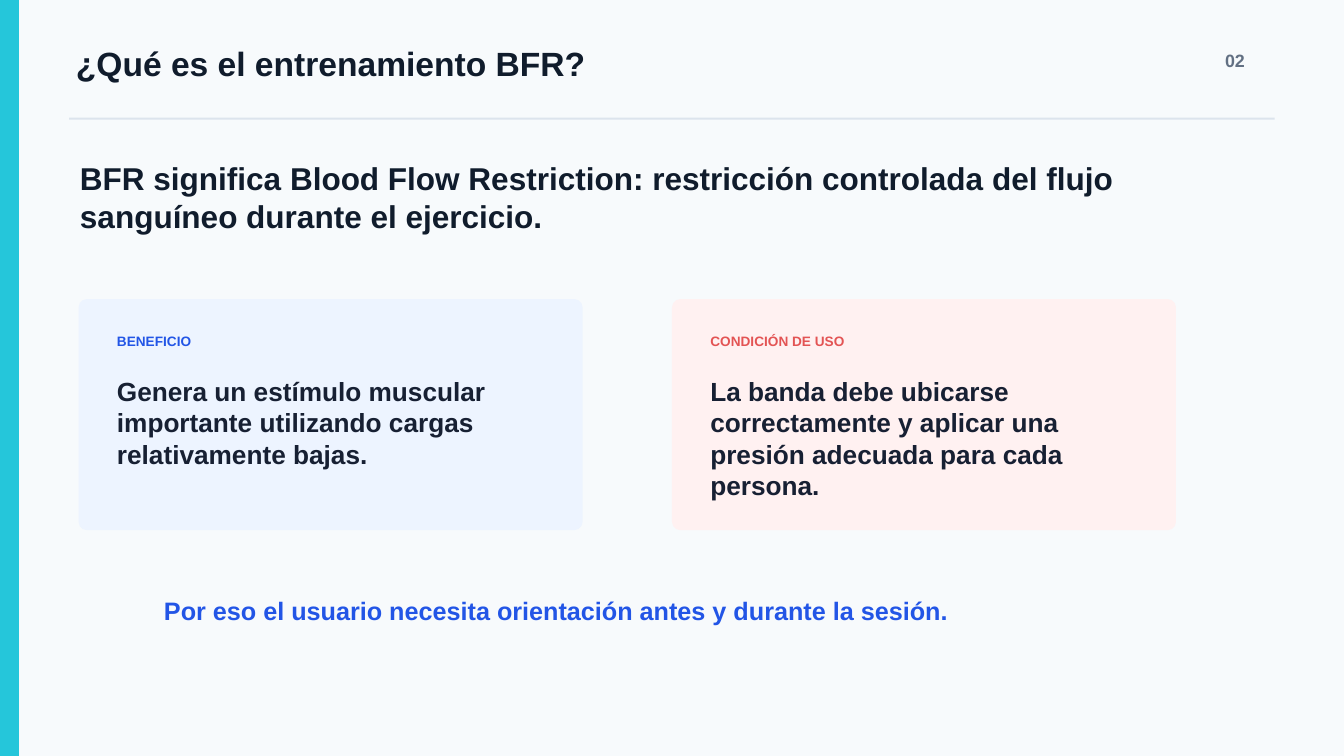
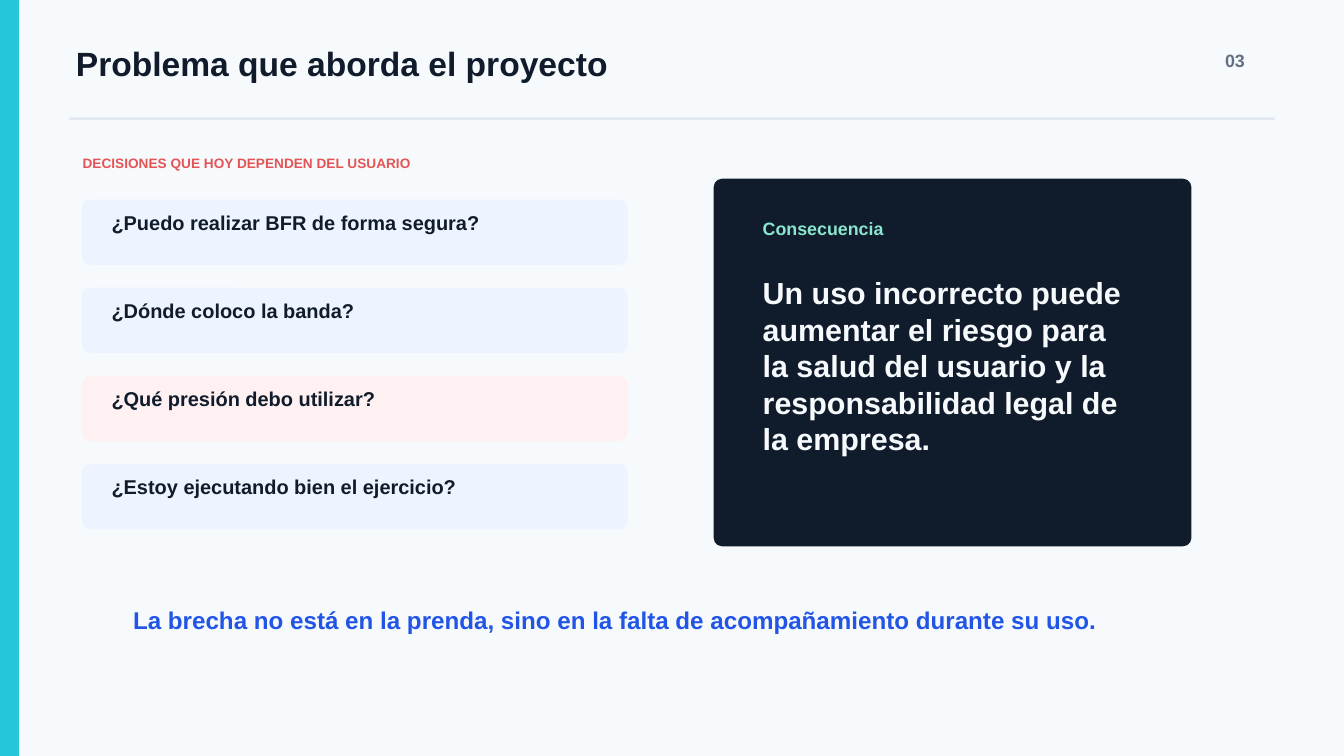
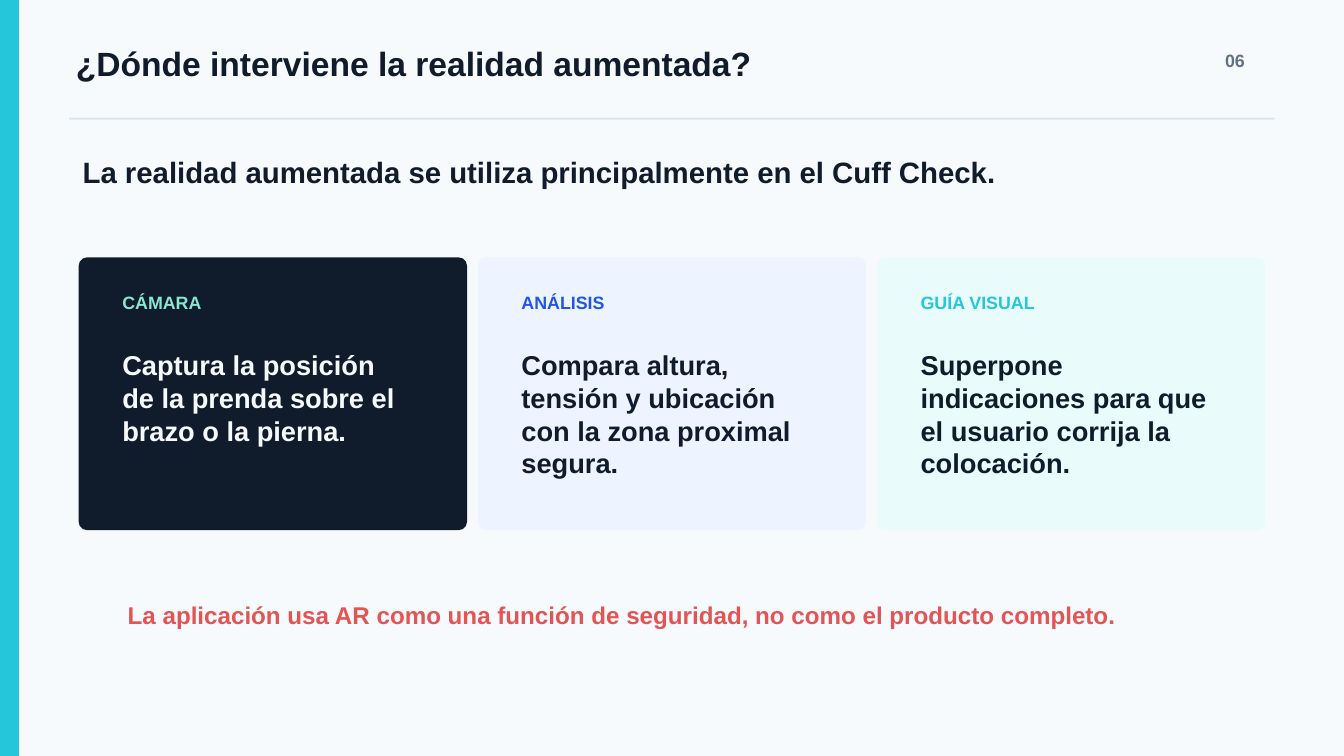
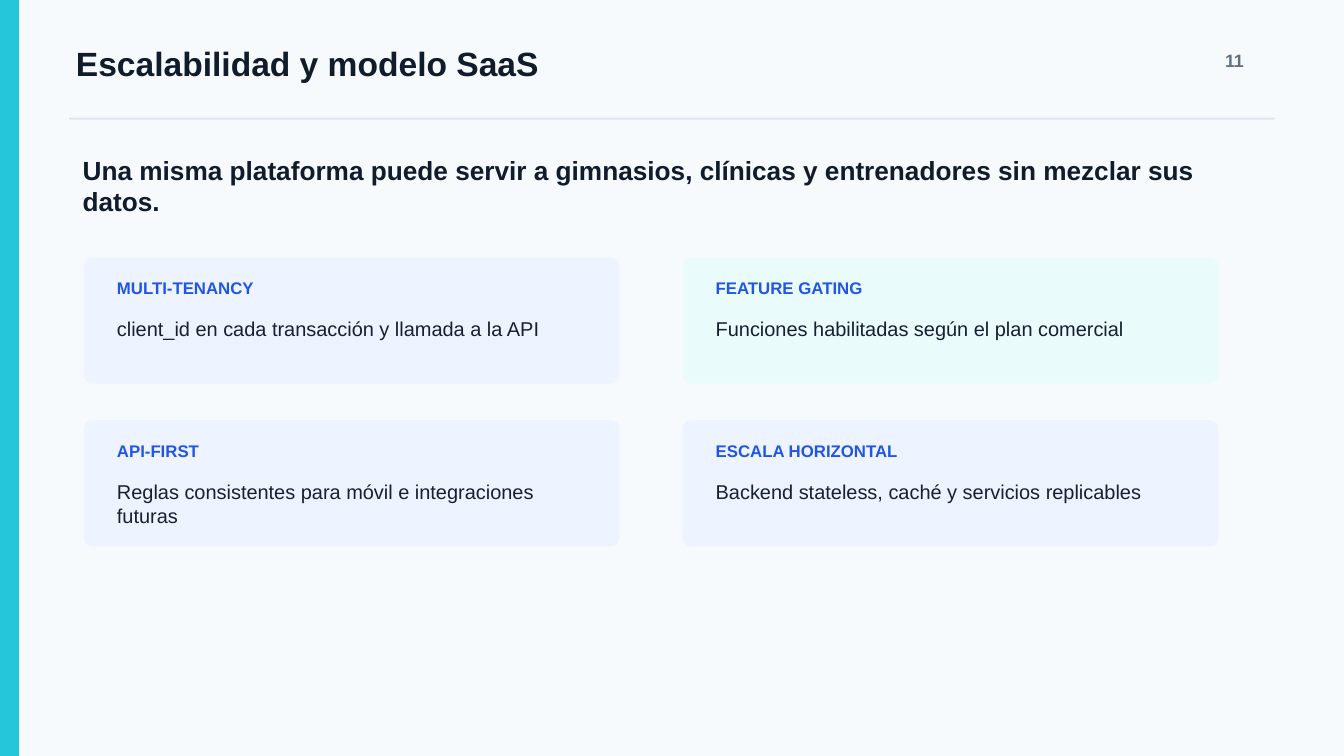
from pptx import Presentation
from pptx.dml.color import RGBColor
from pptx.enum import shapes, text as t
from pptx.util import Inches, Pt

INK = RGBColor(0x10, 0x1C, 0x2C)
BODY = RGBColor(0x17, 0x20, 0x33)
GREY = RGBColor(0x62, 0x70, 0x83)
RULE = RGBColor(0xDC, 0xE4, 0xED)
PAPER = RGBColor(0xF7, 0xFA, 0xFC)
CYAN = RGBColor(0x25, 0xC6, 0xDA)
BLUE = RGBColor(0x22, 0x55, 0xE6)
RED = RGBColor(0xE3, 0x54, 0x54)
MINT = RGBColor(0x8A, 0xE6, 0xCE)
PALE_BLUE = RGBColor(0xED, 0xF4, 0xFF)
PALE_RED = RGBColor(0xFF, 0xF1, 0xF1)
PALE_CYAN = RGBColor(0xEA, 0xFB, 0xFC)

FONT = "Arial"
RADIUS = 0.125


def add_text(s, text, x, y, w, h, size=21.4, color=INK, bold=True):
    tf = s.shapes.add_textbox(Inches(x), Inches(y), Inches(w), Inches(h)).text_frame
    tf.margin_left = tf.margin_right = tf.margin_top = tf.margin_bottom = 0
    tf.word_wrap = True
    tf.auto_size = t.MSO_AUTO_SIZE.SHAPE_TO_FIT_TEXT
    p = tf.paragraphs[0]
    p.line_spacing = Pt(round(size * 1.2, 1))
    r = p.add_run()
    r.text = text
    r.font.name = FONT
    r.font.size = Pt(size)
    r.font.bold = bold
    r.font.color.rgb = color


def add_panel(s, x, y, w, h, fill, rounded=True):
    kind = shapes.MSO_SHAPE.ROUNDED_RECTANGLE if rounded else shapes.MSO_SHAPE.RECTANGLE
    sp = s.shapes.add_shape(kind, Inches(x), Inches(y), Inches(w), Inches(h))
    if rounded:
        sp.adjustments[0] = RADIUS / min(w, h)
    sp.fill.solid()
    sp.fill.fore_color.rgb = fill
    sp.line.fill.background()
    sp.shadow.inherit = False


prs = Presentation()
prs.slide_width = Inches(20)
prs.slide_height = Inches(11.25)

# Shared frame: background, side band, title, page number, rule
slides = []
for number, title in [
    ("02", "¿Qué es el entrenamiento BFR?"),
    ("03", "Problema que aborda el proyecto"),
    ("06", "¿Dónde interviene la realidad aumentada?"),
    ("11", "Escalabilidad y modelo SaaS"),
]:
    s = prs.slides.add_slide(prs.slide_layouts[6])
    s.background.fill.solid()
    s.background.fill.fore_color.rgb = PAPER
    add_panel(s, 0, 0, 0.28, 11.25, CYAN, rounded=False)
    add_text(s, title, 1.13, 0.64, 16.68, 0.84, size=36)
    add_text(s, number, 18.23, 0.74, 0.74, 0.47, size=19.1, color=GREY)
    add_panel(s, 1.03, 1.75, 17.94, 0.03, RULE, rounded=False)
    slides.append(s)
definition, problem, reality, scaling = slides

# Definition: benefit and condition of use
add_text(definition, "BFR significa Blood Flow Restriction: restricción controlada del flujo "
         "sanguíneo durante el ejercicio.", 1.19, 2.37, 16.83, 1.25, size=33.8)
for x, fill, color, label, body in [
    (1.17, PALE_BLUE, BLUE, "BENEFICIO",
     "Genera un estímulo muscular importante utilizando cargas relativamente bajas."),
    (10, PALE_RED, RED, "CONDICIÓN DE USO",
     "La banda debe ubicarse correctamente y aplicar una presión adecuada para cada persona."),
]:
    add_panel(definition, x, 4.45, 7.5, 3.44, fill)
    add_text(definition, label, x + 0.57, 4.96, 3.71, 0.3, size=14.6, color=color)
    add_text(definition, body, x + 0.57, 5.58, 5.89, 1.48, size=28.1, color=BODY)
add_text(definition, "Por eso el usuario necesita orientación antes y durante la sesión.",
         2.44, 8.86, 15.11, 0.7, size=27, color=BLUE)

# Problem: the user's questions and their consequence
add_text(problem, "DECISIONES QUE HOY DEPENDEN DEL USUARIO", 1.23, 2.31, 9.18, 0.3,
         size=14.6, color=RED)
for i, (question, fill) in enumerate([
    ("¿Puedo realizar BFR de forma segura?", PALE_BLUE),
    ("¿Dónde coloco la banda?", PALE_BLUE),
    ("¿Qué presión debo utilizar?", PALE_RED),
    ("¿Estoy ejecutando bien el ejercicio?", PALE_BLUE),
]):
    y = 2.97 + i * 1.3125
    add_panel(problem, 1.22, y, 8.12, 0.97, fill)
    add_text(problem, question, 1.66, y + 0.16, 7.22, 0.54)
add_panel(problem, 10.62, 2.66, 7.11, 5.47, INK)
add_text(problem, "Consecuencia", 11.35, 3.24, 5.42, 0.41, size=19.1, color=MINT)
add_text(problem, "Un uso incorrecto puede aumentar el riesgo para la salud del usuario y la "
         "responsabilidad legal de la empresa.", 11.35, 4.08, 5.42, 2.59, size=32.6, color=PAPER)
add_text(problem, "La brecha no está en la prenda, sino en la falta de acompañamiento durante su uso.",
         1.98, 9.01, 16.05, 0.62, size=25.9, color=BLUE)

# Augmented reality: three steps
add_text(reality, "La realidad aumentada se utiliza principalmente en el Cuff Check.",
         1.23, 2.29, 16.83, 0.78, size=31.5)
for i, (label, body, fill, label_color, body_color) in enumerate([
    ("CÁMARA", "Captura la posición de la prenda sobre el brazo o la pierna.",
     INK, MINT, PAPER),
    ("ANÁLISIS", "Compara altura, tensión y ubicación con la zona proximal segura.",
     PALE_BLUE, BLUE, INK),
    ("GUÍA VISUAL", "Superpone indicaciones para que el usuario corrija la colocación.",
     PALE_CYAN, CYAN, INK),
]):
    x = 1.17 + i * 5.94
    add_panel(reality, x, 3.83, 5.78, 4.06, fill)
    add_text(reality, label, x + 0.65, 4.34, 4.49, 0.46, size=19.1, color=label_color)
    add_text(reality, body, x + 0.65, 5.19, 4.33, 1.87, size=29.2, color=body_color)
add_text(reality, "La aplicación usa AR como una función de seguridad, no como el producto completo.",
         1.9, 8.94, 16.21, 0.62, size=25.9, color=RED)

# Scaling: two by two grid
add_text(scaling, "Una misma plataforma puede servir a gimnasios, clínicas y entrenadores "
         "sin mezclar sus datos.", 1.23, 2.29, 16.99, 0.83, size=28.1)
for i, (label, body, fill) in enumerate([
    ("MULTI-TENANCY", "client_id en cada transacción y llamada a la API", PALE_BLUE),
    ("FEATURE GATING", "Funciones habilitadas según el plan comercial", PALE_CYAN),
    ("API-FIRST", "Reglas consistentes para móvil e integraciones futuras", PALE_BLUE),
    ("ESCALA HORIZONTAL", "Backend stateless, caché y servicios replicables", PALE_BLUE),
]):
    row, col = divmod(i, 2)
    x, y = 1.25 + col * 8.91, 3.83 + row * 2.42
    add_panel(scaling, x, y, 7.97, 1.88, fill)
    add_text(scaling, label, x + 0.49, y + 0.31, 6.99, 0.36, size=18, color=BLUE)
    add_text(scaling, body, x + 0.49, y + 0.88, 6.99, 0.66, color=BODY, bold=False)

prs.save("out.pptx")
